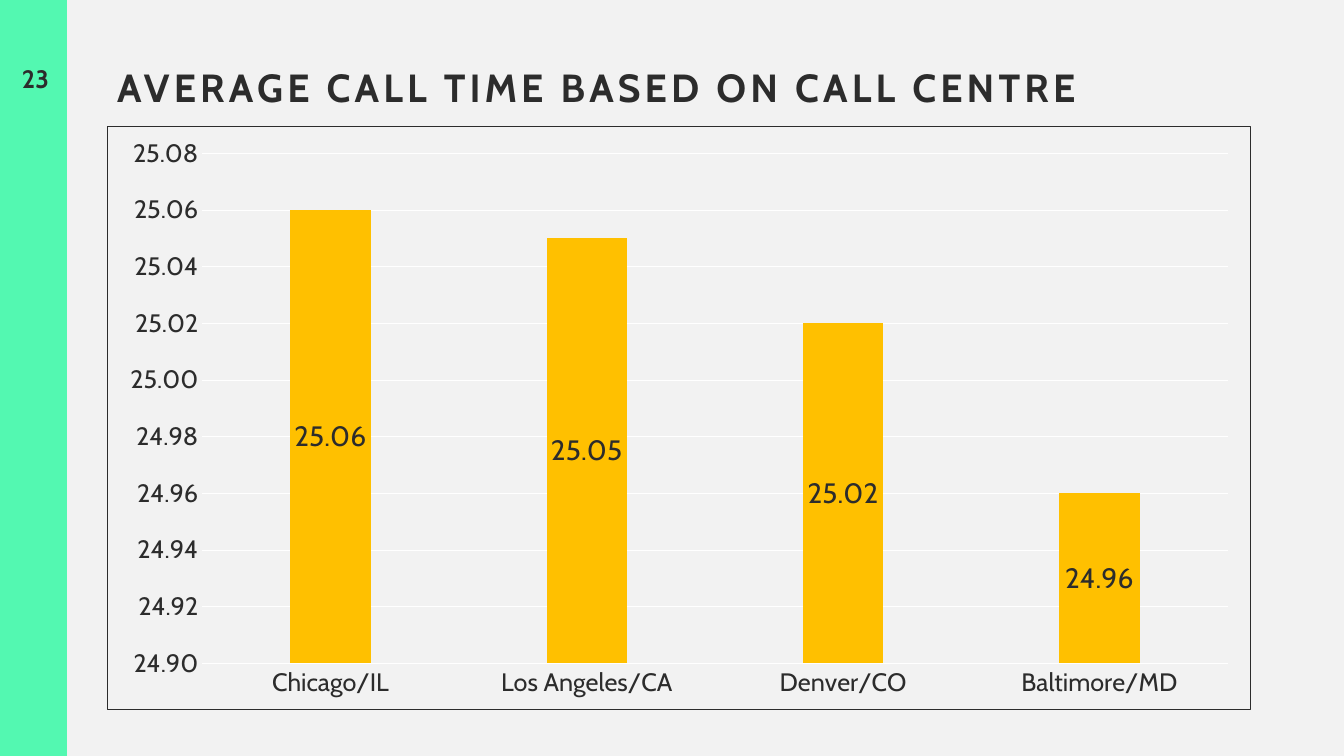
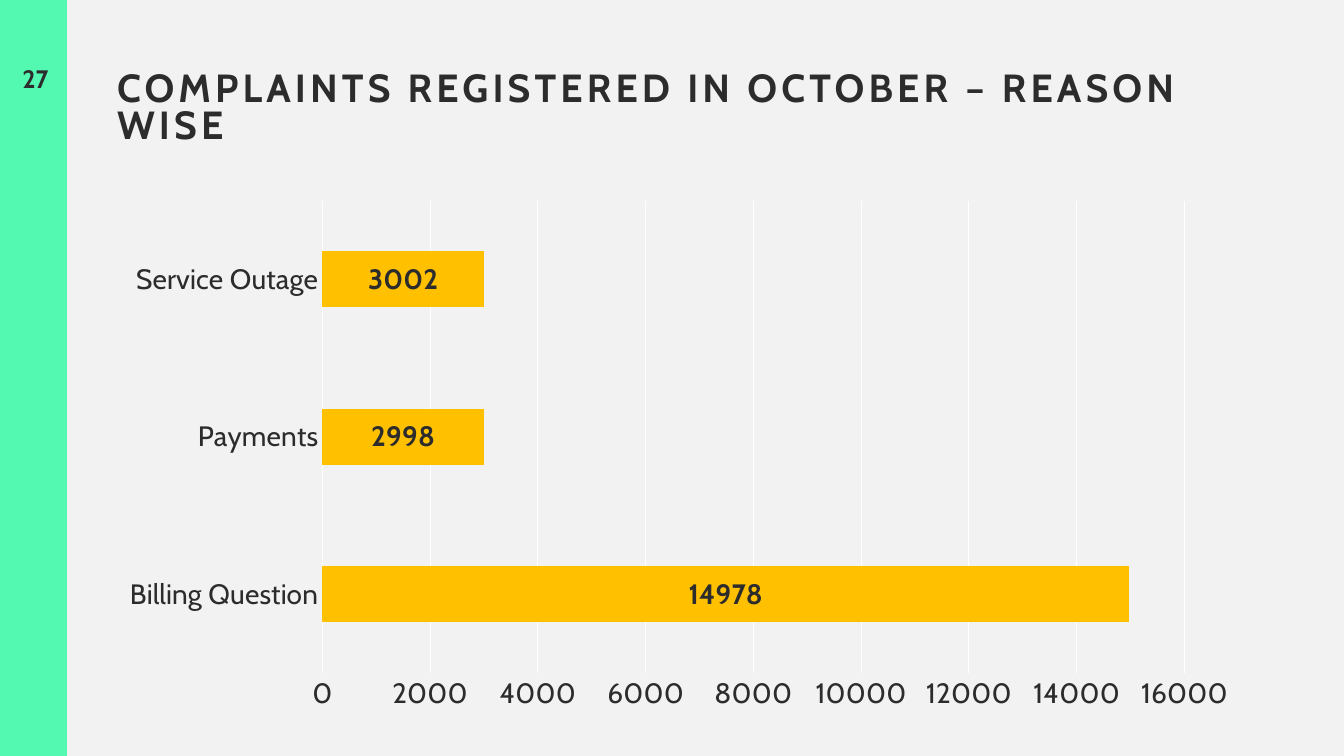
from dataclasses import dataclass

from lxml.etree import fromstring
from pptx import Presentation
from pptx.chart.chart import Chart
from pptx.chart.data import CategoryChartData
from pptx.dml.color import RGBColor
from pptx.enum.chart import XL_CHART_TYPE as ChartType
from pptx.enum.chart import XL_LABEL_POSITION as LabelPosition
from pptx.enum.chart import XL_TICK_MARK as TickMark
from pptx.enum.shapes import MSO_SHAPE as Preset
from pptx.enum.text import MSO_ANCHOR as Anchor
from pptx.enum.text import MSO_AUTO_SIZE as AutoSize
from pptx.enum.text import PP_ALIGN as Align
from pptx.oxml.ns import nsdecls, qn
from pptx.slide import Slide
from pptx.text.text import Font
from pptx.util import Emu, Pt

SLIDE_WIDTH, SLIDE_HEIGHT = 1344, 756
EMU_PER_INCH, PX_PER_INCH = 914400, 100.8
CONTENT_LEFT, CONTENT_WIDTH = 107, 1144
FONT = "Cabin"

PAPER = RGBColor(0xF2, 0xF2, 0xF2)
MINT = RGBColor(0x53, 0xF8, 0xB1)
INK = RGBColor(0x2C, 0x2C, 0x2C)
AMBER = RGBColor(0xFF, 0xC0, 0x00)
WHITE = RGBColor(0xFF, 0xFF, 0xFF)


@dataclass(frozen=True)
class ChartSlide:
    title: str
    number: int
    chart_type: ChartType
    top: int
    height: int
    categories: tuple[str, ...]
    values: tuple[float, ...]
    minimum: float
    maximum: float
    step: float
    number_format: str
    axis_size: int
    gap: int
    overlap: int = 0
    bold_labels: bool = False
    border: bool = False


CHART_SLIDES = (
    ChartSlide(
        title="AVERAGE CALL TIME BASED ON CALL CENTRE",
        number=23,
        chart_type=ChartType.COLUMN_CLUSTERED,
        top=126,
        height=584,
        categories=("Chicago/IL", "Los Angeles/CA", "Denver/CO", "Baltimore/MD"),
        values=(25.06, 25.05, 25.02, 24.96),
        minimum=24.9,
        maximum=25.08,
        step=0.02,
        number_format="0.00",
        axis_size=18,
        gap=219,
        overlap=-27,
        border=True,
    ),
    ChartSlide(
        title="COMPLAINTS REGISTERED IN OCTOBER – REASON WISE",
        number=27,
        chart_type=ChartType.BAR_CLUSTERED,
        top=190,
        height=532,
        categories=("Billing Question", "Payments", "Service Outage"),
        values=(14978, 2998, 3002),
        minimum=0,
        maximum=16000,
        step=2000,
        number_format="General",
        axis_size=20,
        gap=182,
        bold_labels=True,
    ),
)


def px(length: int) -> Emu:
    return Emu(round(length * EMU_PER_INCH / PX_PER_INCH))


def box(left: int, top: int, width: int, height: int) -> tuple[Emu, ...]:
    return px(left), px(top), px(width), px(height)


def style_font(font: Font, size: int, bold: bool = False) -> None:
    font.name = FONT
    font.size = Pt(size)
    font.bold = bold
    font.color.rgb = INK


def add_band(slide: Slide) -> None:
    band = slide.shapes.add_shape(Preset.RECTANGLE, *box(0, 0, 67, SLIDE_HEIGHT))
    band.shadow.inherit = False
    band.fill.solid()
    band.fill.fore_color.rgb = MINT
    band.line.fill.background()


def set_title(slide: Slide, text: str) -> None:
    title = slide.shapes.title
    title.left, title.top, title.width, title.height = box(
        CONTENT_LEFT, 67, CONTENT_WIDTH, 118
    )
    frame = title.text_frame
    frame.text = text
    frame.word_wrap = True
    frame.auto_size = AutoSize.NONE
    frame.vertical_anchor = Anchor.TOP
    paragraph = frame.paragraphs[0]
    paragraph.alignment = Align.LEFT
    paragraph.line_spacing = 0.8
    paragraph.space_before = Pt(0)
    run = paragraph.runs[0]
    style_font(run.font, 28, bold=True)
    run.font._element.set("spc", "300")


def add_slide_number(slide: Slide, number: int) -> None:
    frame = slide.shapes.add_textbox(*box(2, 62, 67, 40)).text_frame
    frame.text = str(number)
    frame.word_wrap = True
    paragraph = frame.paragraphs[0]
    paragraph.alignment = Align.CENTER
    paragraph.line_spacing = 0.9
    paragraph.space_after = Pt(6)
    style_font(paragraph.runs[0].font, 18, bold=True)


def frame_chart(chart: Chart, border: bool) -> None:
    line_fill = (
        f'<a:solidFill><a:srgbClr val="{INK}"/></a:solidFill>'
        if border
        else "<a:noFill/>"
    )
    properties = fromstring(
        f'<c:spPr {nsdecls("c", "a")}><a:noFill/>'
        f'<a:ln w="{Pt(0.75)}">{line_fill}</a:ln></c:spPr>'
    )
    chart.element.find(qn("c:chart")).addnext(properties)


def style_axes(chart: Chart, content: ChartSlide) -> None:
    category_axis, value_axis = chart.category_axis, chart.value_axis
    for axis in (category_axis, value_axis):
        axis.major_tick_mark = TickMark.NONE
        axis.minor_tick_mark = TickMark.NONE
        style_font(axis.tick_labels.font, content.axis_size)
    value_axis.minimum_scale = content.minimum
    value_axis.maximum_scale = content.maximum
    value_axis.major_unit = content.step
    value_axis.tick_labels.number_format = content.number_format
    value_axis.tick_labels.number_format_is_linked = False
    value_axis.format.line.fill.background()
    value_axis.has_major_gridlines = True
    category_axis.has_major_gridlines = False
    for line in (category_axis.format.line, value_axis.major_gridlines.format.line):
        line.color.rgb = WHITE
        line.width = Pt(0.75)


def style_bars(chart: Chart, content: ChartSlide) -> None:
    plot = chart.plots[0]
    plot.gap_width = content.gap
    plot.overlap = content.overlap
    plot.vary_by_categories = False
    series = plot.series[0]
    series.format.fill.solid()
    series.format.fill.fore_color.rgb = AMBER
    labels = series.data_labels
    labels.show_value = True
    labels.position = LabelPosition.CENTER
    labels.number_format = content.number_format
    labels.number_format_is_linked = False
    style_font(labels.font, 20, content.bold_labels)


def add_bar_chart(slide: Slide, content: ChartSlide) -> None:
    data = CategoryChartData(number_format=content.number_format)
    data.categories = content.categories
    data.add_series("Series 1", content.values)
    chart = slide.shapes.add_chart(
        content.chart_type,
        *box(CONTENT_LEFT, content.top, CONTENT_WIDTH, content.height),
        data,
    ).chart
    chart.has_title = False
    chart.has_legend = False
    style_font(chart.font, content.axis_size)
    frame_chart(chart, content.border)
    style_axes(chart, content)
    style_bars(chart, content)


def main() -> None:
    presentation = Presentation()
    presentation.slide_width = px(SLIDE_WIDTH)
    presentation.slide_height = px(SLIDE_HEIGHT)
    background = presentation.slide_master.background.fill
    background.solid()
    background.fore_color.rgb = PAPER
    title_only = presentation.slide_layouts[5]
    for content in CHART_SLIDES:
        slide = presentation.slides.add_slide(title_only)
        add_band(slide)
        set_title(slide, content.title)
        add_slide_number(slide, content.number)
        add_bar_chart(slide, content)
    presentation.save("out.pptx")


if __name__ == "__main__":
    main()
